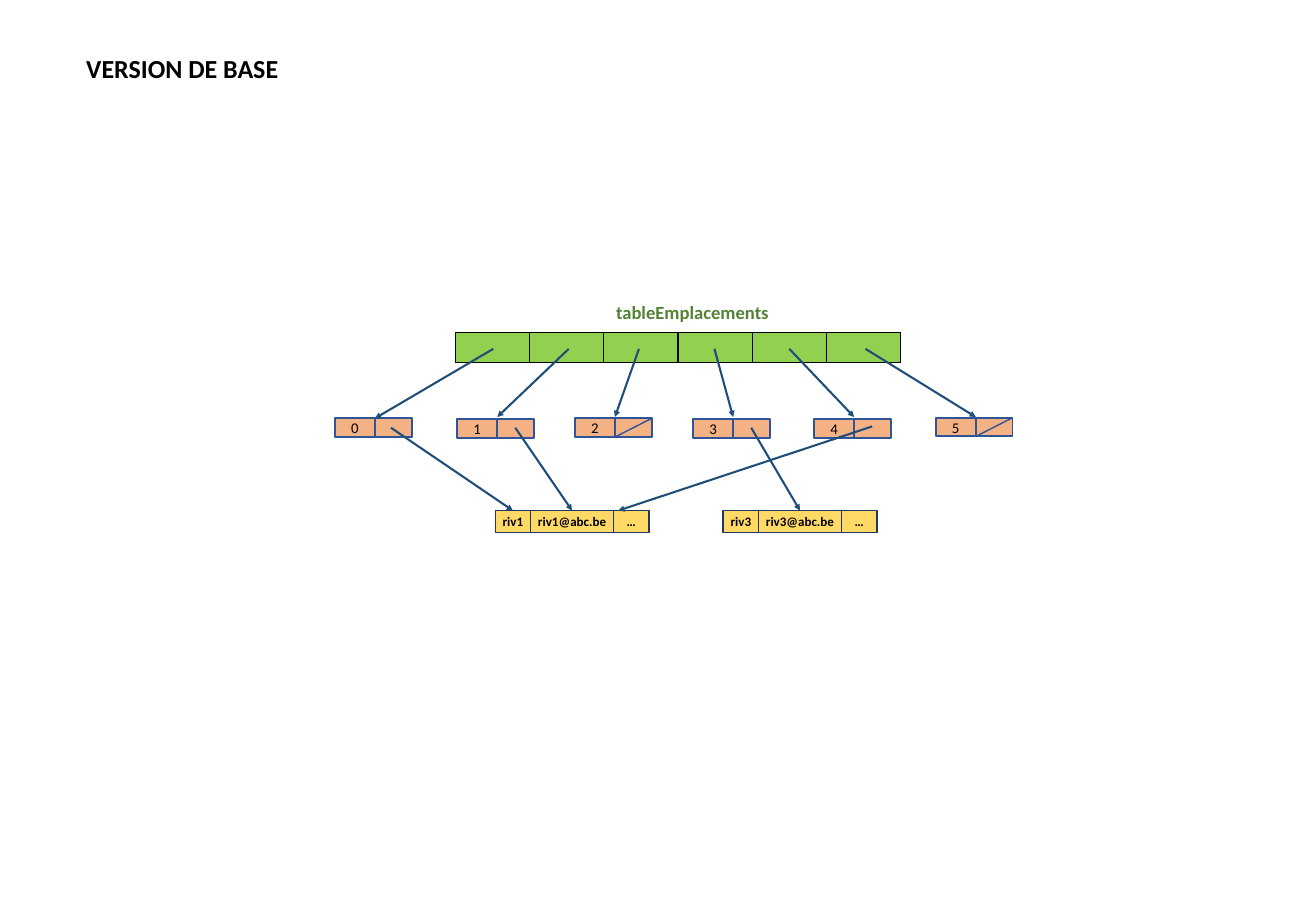
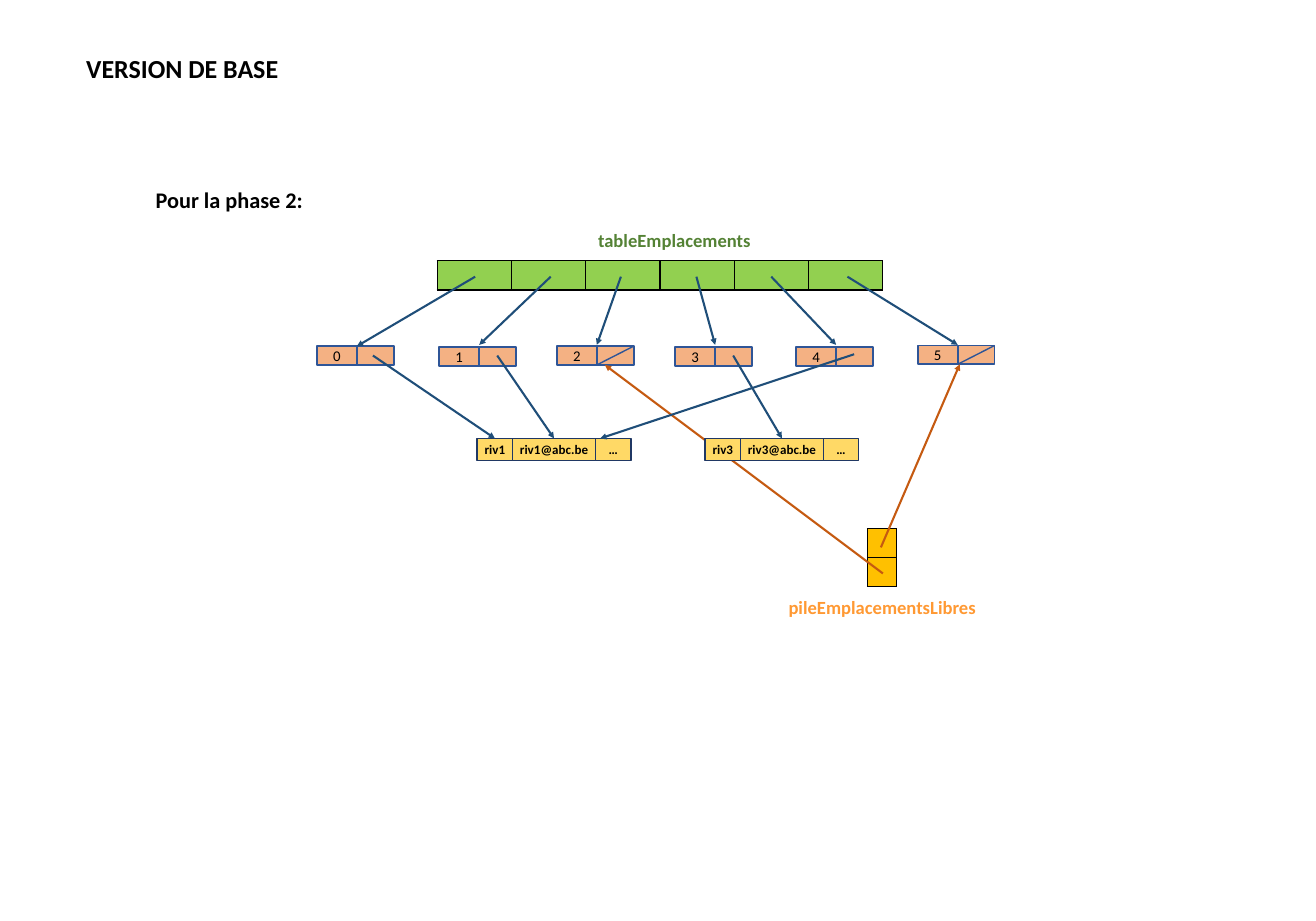
from lxml import etree
from pptx import Presentation
from pptx import util as u
from pptx.dml.color import RGBColor
from pptx.enum import shapes, text
from pptx.oxml import ns

PX = 9144  # 100 px to the inch

BLACK = RGBColor(0x00, 0x00, 0x00)
GREEN = RGBColor(0x92, 0xD0, 0x50)
DARK_GREEN = RGBColor(0x54, 0x82, 0x35)
SALMON = RGBColor(0xF4, 0xB1, 0x83)
BLUE = RGBColor(0x2F, 0x55, 0x97)
ARROW_BLUE = RGBColor(0x1F, 0x4E, 0x79)
YELLOW = RGBColor(0xFF, 0xD9, 0x66)
NAVY = RGBColor(0x20, 0x38, 0x64)
AMBER = RGBColor(0xFF, 0xC0, 0x00)
ORANGE = RGBColor(0xFF, 0x99, 0x33)
RUST = RGBColor(0xC5, 0x5A, 0x11)

TITLE = {"size": u.Pt(28), "bold": True}
SUBTITLE = {"size": u.Pt(24), "bold": True}
LABEL = {"size": u.Pt(20), "bold": True}
NUMBER = {"size": u.Pt(16), "bold": False}
FIELD = {"size": u.Pt(14), "bold": True}

SLOT_W, LINK_W, SLOT_H = 60, 55, 28
FIELD_WIDTHS, FIELD_H = (53, 124, 53), 33
RECORD_TOP, TABLE_MID = 764, 522

# left, top, start of the arrow in the table, end height of that arrow
SLOTS = [
    (501, 626, 738, 626),
    (684, 627, 851, 624),
    (860, 626, 956, 624),
    (1037, 627, 1069, 624),
    (1218, 627, 1181, 624),
    (1400, 625, 1295, 624),
]
FREE_SLOTS = (2, 5)
RECORDS = [(741, "riv1"), (1082, "riv3")]


def px(*values):
    return [u.Emu(v * PX) for v in values]


def write(tf, words, style, color=BLACK, align=text.PP_ALIGN.LEFT):
    p = tf.paragraphs[0]
    p.alignment = align
    r = p.add_run()
    r.text = words
    for name, value in {"name": "Calibri", **style}.items():
        setattr(r.font, name, value)
    r.font.color.rgb = color


def add_label(slide, words, box, style, color=BLACK):
    tf = slide.shapes.add_textbox(*px(*box)).text_frame
    write(tf, words, style, color)
    tf.word_wrap = False
    tf.auto_size = text.MSO_AUTO_SIZE.SHAPE_TO_FIT_TEXT


def add_title(slide, words):
    sp = slide.shapes.title
    sp.left, sp.top, sp.width, sp.height = px(119, 74, 311, 57)
    tf = sp.text_frame
    write(tf, words, TITLE)
    tf.word_wrap = False
    tf.auto_size = text.MSO_AUTO_SIZE.NONE


def add_box(parent, box, fill, line, width, words="", style=None):
    sp = parent.shapes.add_shape(shapes.MSO_SHAPE.RECTANGLE, *px(*box))
    sp.shadow.inherit = False
    sp.fill.solid()
    sp.fill.fore_color.rgb = fill
    sp.line.color.rgb = line
    sp.line.width = u.Pt(width)
    tf = sp.text_frame
    tf.vertical_anchor = text.MSO_ANCHOR.MIDDLE
    for side in ("left", "right", "top", "bottom"):
        setattr(tf, f"margin_{side}", 0)
    if words:
        write(tf, words, style, align=text.PP_ALIGN.CENTER)
    return sp


def add_line(parent, start, end, color, width):
    cx = parent.shapes.add_connector(
        shapes.MSO_CONNECTOR.STRAIGHT, *px(*start, *end))
    cx.line.color.rgb = color
    cx.line.width = u.Pt(width)
    etree.SubElement(cx._element.spPr, ns.qn("a:effectLst"))
    return cx


def add_arrow(slide, start, end, color=ARROW_BLUE):
    cx = add_line(slide, start, end, color, 2.25)
    etree.SubElement(cx.line._get_or_add_ln(), ns.qn("a:tailEnd"),
                     type="triangle")
    return cx


def set_borders(cell):
    tc_pr = cell._tc.get_or_add_tcPr()
    for i, side in enumerate(("lnL", "lnR", "lnT", "lnB")):
        ln = etree.Element(ns.qn(f"a:{side}"), w=str(u.Pt(1.5)))
        fill = etree.SubElement(ln, ns.qn("a:solidFill"))
        etree.SubElement(fill, ns.qn("a:srgbClr"), val=str(BLACK))
        tc_pr.insert(i, ln)


def add_cells(slide, rows, cols, box, fill):
    table = slide.shapes.add_table(rows, cols, *px(*box)).table
    table.first_row = table.horz_banding = False
    for cell in table.iter_cells():
        cell.fill.solid()
        cell.fill.fore_color.rgb = fill
        set_borders(cell)


def add_slot(slide, left, top, number, free):
    """Number box and link box; a diagonal marks a free slot."""
    group = slide.shapes.add_group_shape()
    link_left = left + SLOT_W
    add_box(group, (left, top, SLOT_W, SLOT_H), SALMON, BLUE, 2,
            str(number), NUMBER)
    add_box(group, (link_left, top, LINK_W, SLOT_H), SALMON, BLUE, 2)
    if free:
        add_line(group, (link_left, top + SLOT_H), (link_left + LINK_W, top),
                 BLUE, 1.5)


def add_record(slide, left, top, name):
    """Return the boxes of the fields, from left to right."""
    group = slide.shapes.add_group_shape()
    boxes = []
    for width, words in zip(FIELD_WIDTHS, (name, f"{name}@abc.be", "…")):
        boxes.append(add_box(group, (left, top, width, FIELD_H), YELLOW, NAVY,
                             1.5, words, FIELD))
        left += width
    return boxes


def add_free_stack(slide):
    add_cells(slide, 2, 1, (1298, 791, 43, 87), AMBER)
    add_label(slide, "pileEmplacementsLibres", (1170, 887, 303, 44), LABEL,
              ORANGE)
    add_arrow(slide, (1318, 819), (1436, 545), RUST)
    add_arrow(slide, (1321, 858), (905, 546), RUST)


def add_diagram(slide, dx=0, dy=0, with_stack=False):
    def at(x, y):
        return x + dx, y + dy

    add_cells(slide, 1, 6, (*at(681, 498), 667, 44), GREEN)
    add_label(slide, "tableEmplacements", (*at(912, 445), 250, 44), LABEL,
              DARK_GREEN)
    for i, (left, top, start, end_y) in enumerate(SLOTS):
        add_slot(slide, *at(left, top), i, i in FREE_SLOTS)
        add_arrow(slide, at(start, TABLE_MID), at(left + SLOT_W, end_y))
    if with_stack:
        add_free_stack(slide)

    first, second = [add_record(slide, *at(left, RECORD_TOP), name)
                     for left, name in RECORDS]
    for start, field in ((585, first[0]), (771, first[1]), (1124, second[1])):
        cx = add_arrow(slide, at(start, 640), at(start, RECORD_TOP))
        cx.end_connect(field, 0)
    add_arrow(slide, at(1305, 638), at(925, RECORD_TOP))


def main():
    prs = Presentation()
    prs.slide_width, prs.slide_height = px(1969, 1378)
    title_only = prs.slide_layouts[5]

    base = prs.slides.add_slide(title_only)
    add_title(base, "VERSION DE BASE")
    add_diagram(base)

    phase_2 = prs.slides.add_slide(title_only)
    add_title(phase_2, "VERSION DE BASE")
    add_label(phase_2, "Pour la phase 2:", (223, 274, 243, 50), SUBTITLE)
    add_diagram(phase_2, -27, -108, with_stack=True)

    prs.save("out.pptx")


if __name__ == "__main__":
    main()
